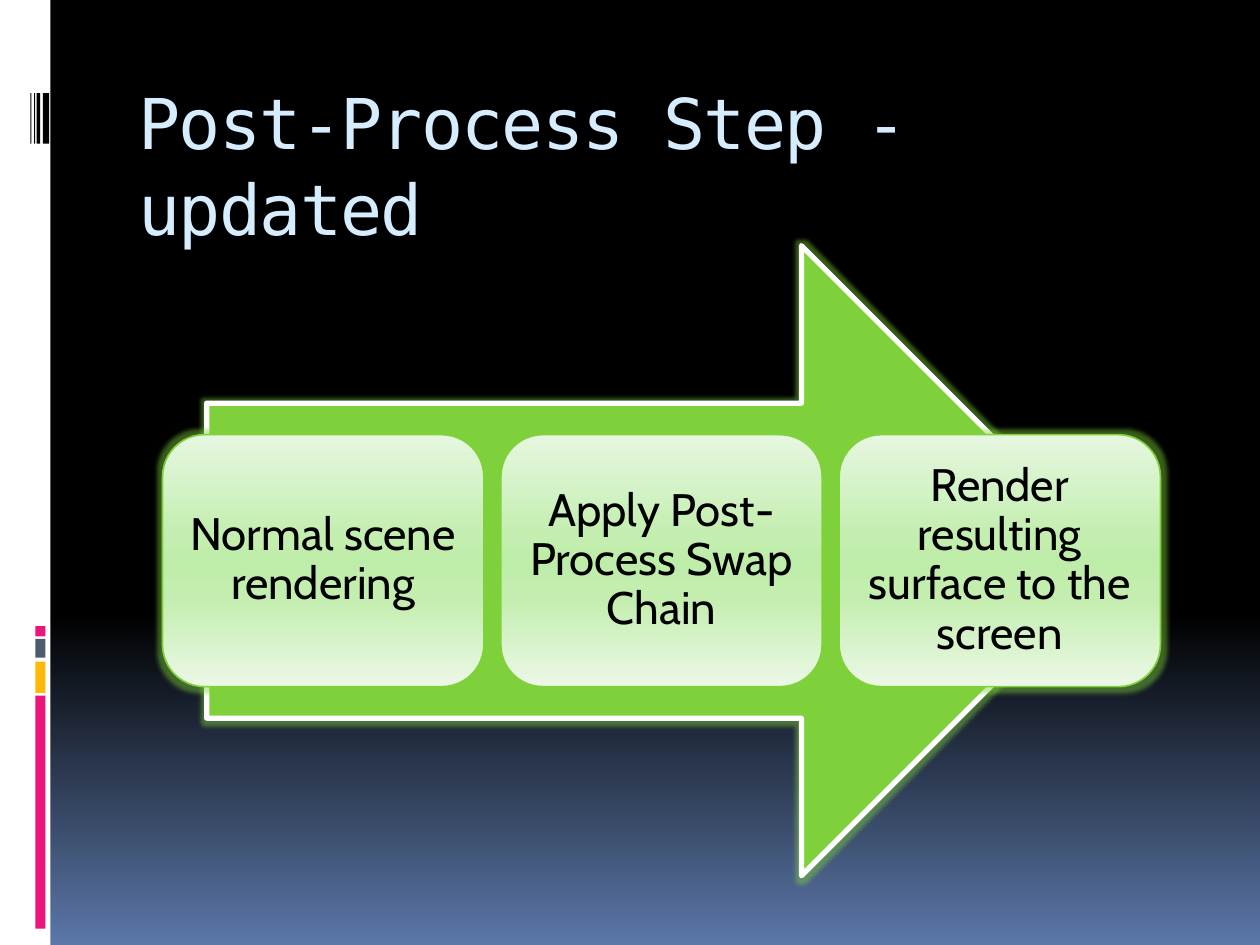
from dataclasses import dataclass

from lxml import etree
from pptx import Presentation
from pptx.dml.color import RGBColor
from pptx.enum.shapes import MSO_SHAPE
from pptx.enum.text import MSO_ANCHOR, MSO_AUTO_SIZE, PP_ALIGN
from pptx.oxml.ns import qn
from pptx.util import Inches, Pt

RECTANGLE = MSO_SHAPE.RECTANGLE
ROUNDED = MSO_SHAPE.ROUNDED_RECTANGLE
RIGHT_ARROW = MSO_SHAPE.RIGHT_ARROW
TOP, MIDDLE = MSO_ANCHOR.TOP, MSO_ANCHOR.MIDDLE
LEFT, CENTER = PP_ALIGN.LEFT, PP_ALIGN.CENTER
NO_AUTOFIT = MSO_AUTO_SIZE.NONE


@dataclass(frozen=True)
class Theme:
    white: str = "FFFFFF"
    black: str = "000000"
    pink: str = "EA157A"
    amber: str = "FEB80A"
    slate: str = "4E5B6F"
    green: str = "7FD13B"
    title: str = "D6ECFF"
    title_font: str = "DejaVu Sans Mono"
    body_font: str = "Cabin"
    title_size: int = 40
    body_size: int = 26
    background: tuple = ((0, "000000"), (65, "000000"), (100, "5B77A8"))
    step: tuple = ((0, "E6F7E0"), (40, "C4EEB0"), (50, "BEEDA9"),
                   (65, "C4EEB0"), (100, "ECF8E6"))


THEME = Theme()
STEPS = ("Normal scene rendering", "Apply Post-Process Swap Chain",
         "Render resulting surface to the screen")


def color(value):
    return RGBColor.from_string(value)


def set_gradient(fill, owner, stops):
    fill.gradient()
    fill.gradient_angle = 270
    stop_list = next(owner.iter(qn("a:gsLst")))
    for stop in list(stop_list):
        stop_list.remove(stop)
    for position, value in stops:
        stop = etree.SubElement(stop_list, qn("a:gs"), pos=str(position * 1000))
        etree.SubElement(stop, qn("a:srgbClr"), val=value)


def add_glow(shape):
    effects = shape.element.spPr.find(qn("a:effectLst"))
    glow = etree.SubElement(effects, qn("a:glow"), rad=str(Inches(0.07)))
    tint = etree.SubElement(glow, qn("a:srgbClr"), val=THEME.green)
    etree.SubElement(tint, qn("a:alpha"), val="45000")


def add_block(slide, kind, box, fill, line=None, width=0):
    block = slide.shapes.add_shape(kind, *map(Inches, box))
    block.shadow.inherit = False
    if isinstance(fill, tuple):
        set_gradient(block.fill, block.element, fill)
    else:
        block.fill.solid()
        block.fill.fore_color.rgb = color(fill)
    if line:
        block.line.color.rgb = color(line)
        block.line.width = Pt(width)
    else:
        block.line.fill.background()
    return block


def style_text(paragraph, font_name, size, value, align, spacing):
    paragraph.alignment = align
    paragraph.line_spacing = spacing
    paragraph.font.name = font_name
    paragraph.font.size = Pt(size)
    paragraph.font.color.rgb = color(value)


def add_side_strip(slide):
    add_block(slide, RECTANGLE, (0, 0, 0.4, 7.5), THEME.white)
    accents = ((5.52, 1.85, THEME.pink), (5.25, 0.25, THEME.amber),
               (5.07, 0.15, THEME.slate), (4.97, 0.08, THEME.pink))
    for top, height, fill in accents:
        add_block(slide, RECTANGLE, (0.28, top, 0.08, height), fill)
    for left, width in ((0.34, 0.05), (0.29, 0.03), (0.27, 0.01), (0.24, 0.01)):
        add_block(slide, RECTANGLE, (left, 0.74, width, 0.4), THEME.black)


def set_title(slide, text):
    title = slide.shapes.title
    title.left, title.top, title.width, title.height = map(Inches, (1, 0.56, 8.5, 1))
    frame = title.text_frame
    frame.text = text
    frame.word_wrap = True
    frame.auto_size = NO_AUTOFIT
    frame.vertical_anchor = TOP
    heading = frame.paragraphs[0]
    style_text(heading, THEME.title_font, THEME.title_size, THEME.title, LEFT, 1.03)
    heading.runs[0].font.size = Pt(THEME.title_size)
    heading.runs[0].element.get_or_add_rPr().set("spc", "-100") if hasattr(
        heading.runs[0], "element") else heading.font._element.set("spc", "-100")


def add_step(slide, left, text):
    step = add_block(slide, ROUNDED, (left, 3.45, 2.55, 2), THEME.step, THEME.green, 0.94)
    add_glow(step)
    frame = step.text_frame
    frame.text = text
    frame.word_wrap = True
    frame.vertical_anchor = MIDDLE
    frame.margin_left = frame.margin_right = Inches(0.01)
    frame.margin_top = frame.margin_bottom = Inches(0.01)
    style_text(frame.paragraphs[0], THEME.body_font, THEME.body_size,
               THEME.black, CENTER, 0.9)


def add_process(slide):
    arrow = add_block(slide, RIGHT_ARROW, (1.64, 1.95, 7.22, 5),
                      THEME.green, THEME.white, 3)
    add_glow(arrow)
    for index, text in enumerate(STEPS):
        add_step(slide, 1.29 + 2.685 * index, text)


def main():
    presentation = Presentation()
    presentation.slide_width = Inches(10)
    presentation.slide_height = Inches(7.5)
    slide = presentation.slides.add_slide(presentation.slide_layouts[5])
    set_gradient(slide.background.fill, slide.element, THEME.background)
    add_side_strip(slide)
    set_title(slide, "Post-Process Step - updated")
    add_process(slide)
    presentation.save("out.pptx")


if __name__ == "__main__":
    main()
